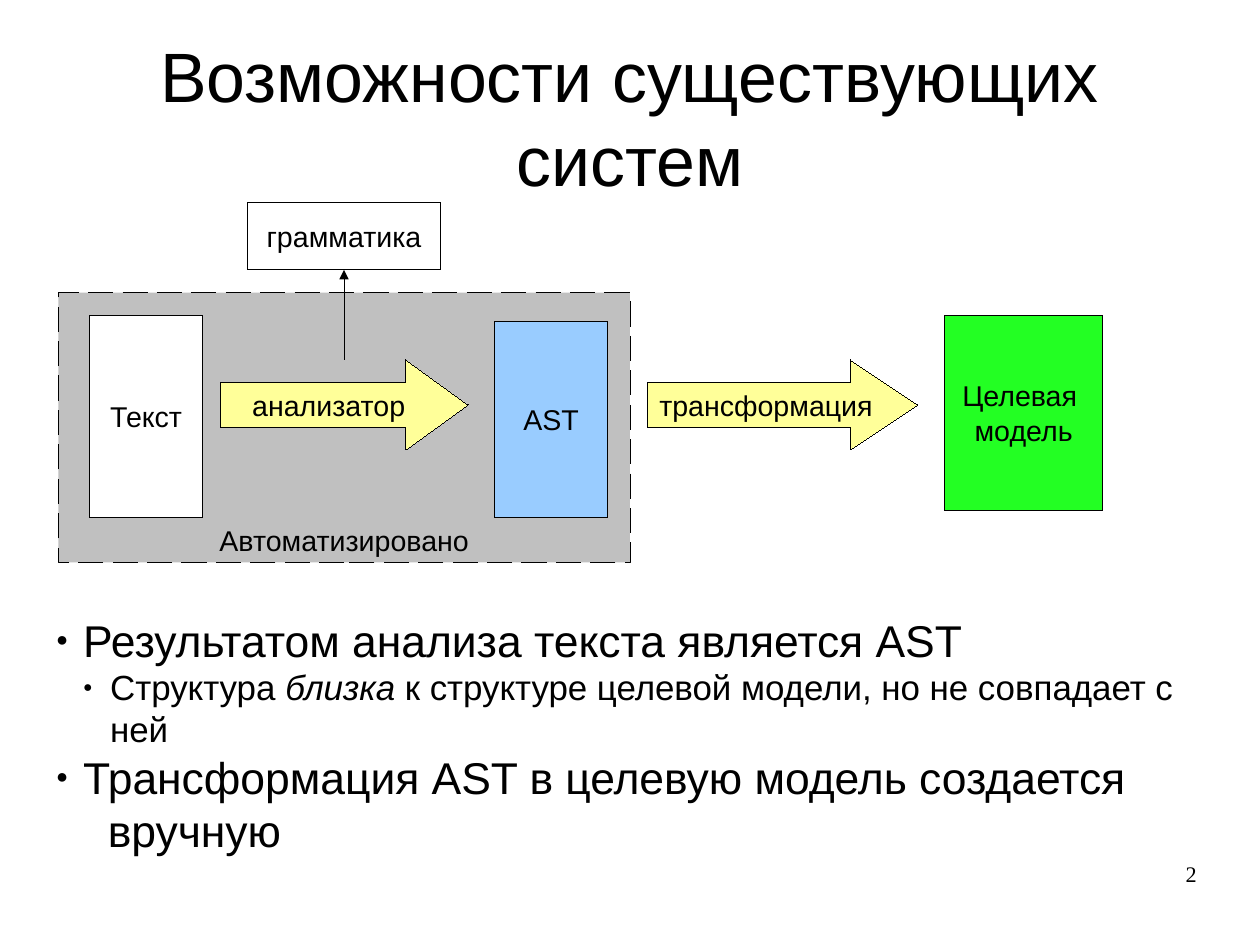
from collections import namedtuple
from dataclasses import dataclass

from lxml import etree
from pptx import Presentation
from pptx import util as u
from pptx.dml import color
from pptx.enum import shapes, text
from pptx.oxml import ns

Box = namedtuple("Box", "left top width height")
rgb = color.RGBColor.from_string


@dataclass(frozen=True)
class Theme:
    ink: str = "000000"
    paper: str = "FFFFFF"
    zone: str = "C0C0C0"
    arrow: str = "FFFF99"
    tree: str = "99CCFF"
    model: str = "23FF23"
    sans: str = "Arial"
    serif: str = "Times New Roman"
    title: int = 44
    point: int = 28
    subpoint: int = 22
    label: int = 18
    number: int = 14
    hairline: float = 0.01
    dashed: float = 0.25


THEME = Theme()
RECT = shapes.MSO_SHAPE.RECTANGLE
ARROW = shapes.MSO_SHAPE.RIGHT_ARROW
MIDDLE = text.MSO_ANCHOR.MIDDLE
CENTER = text.PP_ALIGN.CENTER
NO_INSETS = dict.fromkeys(("margin_left", "margin_top", "margin_right", "margin_bottom"), 0)


def assign(target, **values):
    for name, value in values.items():
        setattr(target, name, value)


def points(box):
    return [u.Pt(value) for value in box]


def inside(box, left, top, width, height):
    return Box(box.left + left, box.top + top, width, height)


def style_font(font, size, name=THEME.sans):
    assign(font, size=u.Pt(size), name=name)
    font.color.rgb = rgb(THEME.ink)


def style_line(line, width=THEME.hairline):
    line.color.rgb = rgb(THEME.ink)
    line.width = u.Pt(width)


def add_element(parent, tag, **attributes):
    return etree.SubElement(parent, ns.qn(tag), attributes)


def add_title(page, box, wording):
    title = page.shapes.title
    assign(title, **dict(zip(Box._fields, points(box))))
    frame = title.text_frame
    assign(frame, word_wrap=True, auto_size=text.MSO_AUTO_SIZE.NONE,
           vertical_anchor=MIDDLE, **NO_INSETS)
    para = frame.paragraphs[0]
    assign(para, text=wording, alignment=CENTER)
    style_font(para.font, THEME.title)


def add_block(page, box, kind, fill, lines, anchor=MIDDLE):
    block = page.shapes.add_shape(kind, *points(box))
    block.shadow.inherit = False
    block.fill.solid()
    block.fill.fore_color.rgb = rgb(fill)
    style_line(block.line)
    frame = block.text_frame
    assign(frame, word_wrap=kind == RECT, vertical_anchor=anchor)
    for index, line in enumerate(lines):
        para = frame.add_paragraph() if index else frame.paragraphs[0]
        assign(para, text=line, alignment=CENTER)
        style_font(para.font, THEME.label)
    return block


def add_pointer(page, x, start, end):
    pointer = page.shapes.add_connector(
        shapes.MSO_CONNECTOR.STRAIGHT, *points((x, start, x, end)))
    style_line(pointer.line)
    add_element(pointer.line._get_or_add_ln(), "a:tailEnd", type="triangle")
    add_element(pointer._element.spPr, "a:effectLst")


def add_flow(page, box):
    zone = add_block(page, inside(box, 0, 56.7, 360, 170), RECT, THEME.zone,
                     ["Автоматизировано"], text.MSO_ANCHOR.BOTTOM)
    style_line(zone.line, THEME.dashed)
    dashes = add_element(zone.line._get_or_add_ln(), "a:custDash")
    add_element(dashes, "a:ds", d="6200000", sp="2300000")

    grammar = inside(box, 119, 0, 121.7, 42.5)
    analyzer = inside(box, 102, 99.2, 156, 56.7)
    blocks = (
        (inside(box, 558.4, 70.9, 99.2, 123), THEME.model, ["Целевая ", "модель"]),
        (inside(box, 19.8, 70.9, 70.9, 127.5), THEME.paper, ["Текст"]),
        (grammar, THEME.paper, ["грамматика"]),
        (inside(box, 274.9, 75, 70.9, 123.4), THEME.tree, ["AST"]),
    )
    for place, fill, lines in blocks:
        add_block(page, place, RECT, fill, lines)
    arrows = (
        (analyzer, 0.69, "анализатор"),
        (inside(box, 371.3, 99.2, 170, 56.7), 0.75, "трансформация"),
    )
    for place, head, label in arrows:
        arrow = add_block(page, place, ARROW, THEME.arrow, [label])
        arrow.adjustments[1] = head
    add_pointer(page, grammar.left + grammar.width / 2,
                analyzer.top, grammar.top + grammar.height)


def set_bullet(para, margin, hanging, bulleted):
    props = para._p.get_or_add_pPr()
    props.set("marL", str(u.Pt(margin)))
    props.set("indent", str(u.Pt(-hanging)))
    if not bulleted:
        add_element(props, "a:buNone")
        return
    add_element(add_element(props, "a:buClr"), "a:srgbClr", val=THEME.ink)
    add_element(props, "a:buSzPct", val="45000")
    add_element(props, "a:buFont", typeface=THEME.sans)
    add_element(props, "a:buChar", char="●")


def add_points(page, box):
    frame = page.shapes.add_textbox(*points(box)).text_frame
    frame.word_wrap = True
    items = (
        (THEME.point, 17, 17, True, ["Результатом анализа текста является AST"]),
        (THEME.subpoint, 34, 17, True,
         ["Структура ", "близка", " к структуре целевой модели, но не совпадает с ней"]),
        (THEME.point, 17, 17, True, ["Трансформация AST в целевую модель создается"]),
        (THEME.point, 32.5, 0, False, ["вручную"]),
    )
    for index, (size, margin, hanging, bulleted, pieces) in enumerate(items):
        para = frame.add_paragraph() if index else frame.paragraphs[0]
        set_bullet(para, margin, hanging, bulleted)
        style_font(para.font, size)
        for position, piece in enumerate(pieces):
            span = para.add_run()
            span.text = piece
            if position == 1:
                span.font.italic = True


def add_number(page, box, number):
    frame = page.shapes.add_textbox(*points(box)).text_frame
    assign(frame, word_wrap=True, **NO_INSETS)
    para = frame.paragraphs[0]
    assign(para, text=number, alignment=text.PP_ALIGN.RIGHT)
    style_font(para.font, THEME.number, THEME.serif)


def main():
    deck = Presentation()
    assign(deck, slide_width=u.Pt(793.7), slide_height=u.Pt(595.28))
    page = deck.slides.add_slide(deck.slide_layouts[5])
    add_title(page, Box(39.7, 23.8, 714.3, 99.4), "Возможности существующих систем")
    add_flow(page, Box(36.85, 127.56, 657.6, 226.7))
    add_points(page, Box(28.35, 382.4, 737, 184.3))
    add_number(page, Box(569, 542.2, 184.9, 41), "2")
    deck.save("out.pptx")


if __name__ == "__main__":
    main()
